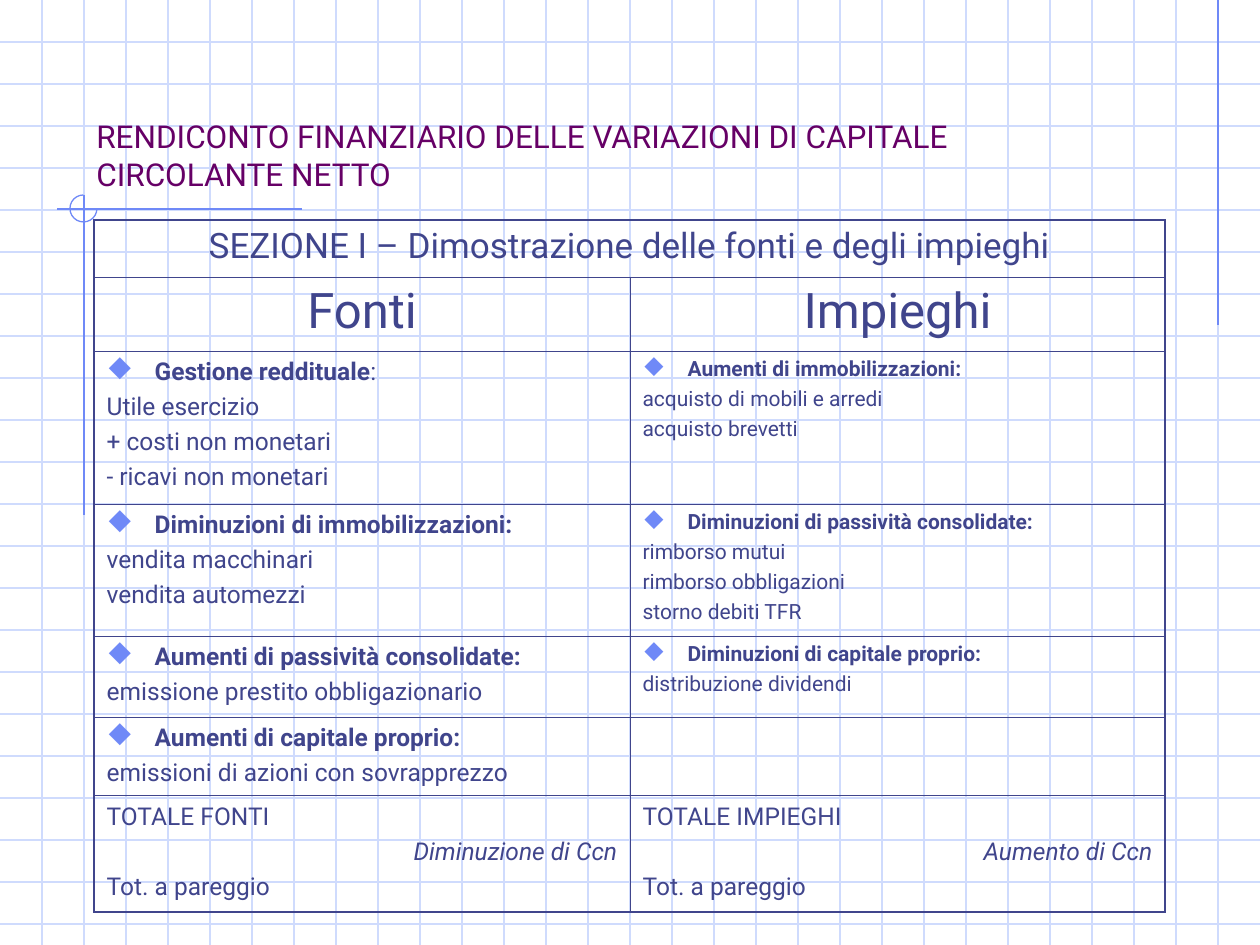
import pptx
import pptx.dml.color
import pptx.enum.shapes
import pptx.enum.text
import pptx.oxml
import pptx.oxml.ns
import pptx.util
from lxml import etree

WIDTH, HEIGHT, GRID_STEP = 1260, 945, 42
LEFT = pptx.enum.text.PP_ALIGN.LEFT
CENTER = pptx.enum.text.PP_ALIGN.CENTER
RIGHT = pptx.enum.text.PP_ALIGN.RIGHT


def px(length):
    return pptx.util.Emu(round(length * 914400 / 126))


def color(value):
    return pptx.dml.color.RGBColor.from_string(value)


def set_attributes(target, values):
    for name, value in values.items():
        setattr(target, name, value)


def add_element(parent, tag, **attributes):
    return etree.SubElement(parent, pptx.oxml.ns.qn(tag), attributes)


class SlideBuilder:
    font = "Roboto"
    bullet_font = "Wingdings"
    bullet_diamond = "u"
    bullet_indents = {14: 48, 12: 45}
    ink = "40458C"
    accent = "6F89F7"
    grid = "CFDBFD"
    title_ink = "660066"
    line_width = 0.75
    outer_border = 1.08
    inner_border = 0.45

    def __init__(self, slide):
        self.slide = slide

    def line(self, x1, y1, x2, y2, line_color):
        connector = self.slide.shapes.add_connector(
            pptx.enum.shapes.MSO_CONNECTOR.STRAIGHT, px(x1), px(y1), px(x2), px(y2))
        connector.line.color.rgb = color(line_color)
        connector.line.width = pptx.util.Pt(self.line_width)
        add_element(connector._element.spPr, "a:effectLst")

    def arc(self, left, top, size):
        shape = self.slide.shapes.add_shape(
            pptx.enum.shapes.MSO_SHAPE.ARC, px(left), px(top), px(size), px(size))
        shape.adjustments[0] = 0
        shape.adjustments[1] = 162
        shape.shadow.inherit = False
        shape.fill.background()
        shape.line.color.rgb = color(self.accent)
        shape.line.width = pptx.util.Pt(self.line_width)

    def run(self, paragraph, text, size, text_color, **style):
        run = paragraph.add_run()
        run.text = text
        run.font.color.rgb = color(text_color)
        set_attributes(run.font, {"name": self.font, "size": pptx.util.Pt(size), **style})

    def title(self, left, top, width, height, text):
        frame = self.slide.shapes.add_textbox(px(left), px(top), px(width), px(height)).text_frame
        set_attributes(frame, {
            "word_wrap": True,
            "vertical_anchor": pptx.enum.text.MSO_ANCHOR.BOTTOM,
            "margin_right": px(25),
        })
        self.run(frame.paragraphs[0], text, 18, self.title_ink)

    def bullet(self, paragraph, size):
        properties = paragraph._p.get_or_add_pPr()
        indent = px(self.bullet_indents[size])
        properties.set("marL", str(indent))
        properties.set("indent", str(-indent))
        bullet_color = add_element(properties, "a:buClr")
        add_element(bullet_color, "a:srgbClr", val=self.accent)
        add_element(properties, "a:buSzPct", val="110000")
        add_element(properties, "a:buFont", typeface=self.bullet_font,
                    pitchFamily="2", charset="2")
        add_element(properties, "a:buChar", char=self.bullet_diamond)

    def paragraph(self, paragraph, text, size, alignment=LEFT, heading=False, **style):
        set_attributes(paragraph, {
            "alignment": alignment, "space_before": pptx.util.Pt(size / 4)})
        if heading:
            self.bullet(paragraph, size)
            style["bold"] = True
        self.run(paragraph, text, size, self.ink, **style)

    def borders(self, cell, outer_sides):
        properties = cell._tc.get_or_add_tcPr()
        for side in "LRTB":
            width = self.outer_border if side in outer_sides else self.inner_border
            border = add_element(properties, f"a:ln{side}", w=str(pptx.util.Pt(width)))
            fill = add_element(border, "a:solidFill")
            add_element(fill, "a:srgbClr", val=self.ink)

    def cell(self, cell, entries):
        frame = cell.text_frame
        for index, entry in enumerate(entries):
            paragraph = frame.add_paragraph() if index else frame.paragraphs[0]
            self.paragraph(paragraph, **entry)

    def table(self, left, top, column_widths, row_heights, rows):
        last_row, last_column = len(row_heights) - 1, len(column_widths) - 1
        table = self.slide.shapes.add_table(
            last_row + 1, last_column + 1, px(left), px(top),
            px(sum(column_widths)), px(sum(row_heights))).table
        set_attributes(table, {"first_row": False, "horz_banding": False})
        for column, width in zip(table.columns, column_widths):
            column.width = px(width)
        for row, height in zip(table.rows, row_heights):
            row.height = px(height)
        table.cell(0, 0).merge(table.cell(0, last_column))
        for r, row in enumerate(rows):
            for c, entries in enumerate(row):
                cell = table.cell(r, c)
                outer_sides = [side for side, outer in (
                    ("L", c == 0), ("R", c == last_column or r == 0),
                    ("T", r == 0), ("B", r == last_row)) if outer]
                self.borders(cell, outer_sides)
                cell.fill.background()
                self.cell(cell, entries)
        return table


def centered(text, size):
    return [{"text": text, "size": size, "alignment": CENTER}]


def section(size, heading, *items):
    return [{"text": heading, "size": size, "heading": True},
            *({"text": item, "size": size} for item in items)]


def totals(total, difference):
    return [{"text": total, "size": 14},
            {"text": difference, "size": 14, "alignment": RIGHT, "italic": True},
            {"text": "Tot. a pareggio", "size": 14}]


ROWS = [
    [centered("SEZIONE I – Dimostrazione delle fonti e degli impieghi", 20), []],
    [centered("Fonti", 28), centered("Impieghi", 28)],
    [section(14, "Gestione reddituale", "Utile esercizio", "+ costi non monetari",
             "- ricavi non monetari"),
     section(12, "Aumenti di immobilizzazioni:", "acquisto di mobili e arredi",
             "acquisto brevetti")],
    [section(14, "Diminuzioni di immobilizzazioni:", "vendita macchinari", "vendita automezzi"),
     section(12, "Diminuzioni di passività consolidate:", "rimborso mutui",
             "rimborso obbligazioni", "storno debiti TFR")],
    [section(14, "Aumenti di passività consolidate:", "emissione prestito obbligazionario"),
     section(12, "Diminuzioni di capitale proprio:", "distribuzione dividendi")],
    [section(14, "Aumenti di capitale proprio:", "emissioni di azioni con sovrapprezzo"), []],
    [totals("TOTALE FONTI", "Diminuzione di Ccn"),
     totals("TOTALE IMPIEGHI", "Aumento di Ccn")],
]


def main():
    presentation = pptx.Presentation()
    set_attributes(presentation, {"slide_width": px(WIDTH), "slide_height": px(HEIGHT)})
    builder = SlideBuilder(presentation.slides.add_slide(presentation.slide_layouts[6]))

    for y in range(GRID_STEP, HEIGHT, GRID_STEP):
        builder.line(0, y, WIDTH, y, builder.grid)
    for x in range(GRID_STEP, WIDTH, GRID_STEP):
        builder.line(x, 0, x, HEIGHT, builder.grid)
    for ends in ((1218, 0, 1218, 325), (302, 209, 57, 209), (84, 195, 84, 515)):
        builder.line(*ends, builder.accent)
    builder.arc(70, 195, 27)

    builder.title(84, 42, 1071, 157,
                  "RENDICONTO FINANZIARIO DELLE VARIAZIONI DI CAPITALE CIRCOLANTE NETTO")
    table = builder.table(94, 220, [536, 535], [57, 74, 153, 132, 81, 79, 116], ROWS)
    builder.run(table.cell(2, 0).text_frame.paragraphs[0], ":", 14, builder.ink)
    presentation.save("out.pptx")


if __name__ == "__main__":
    main()
